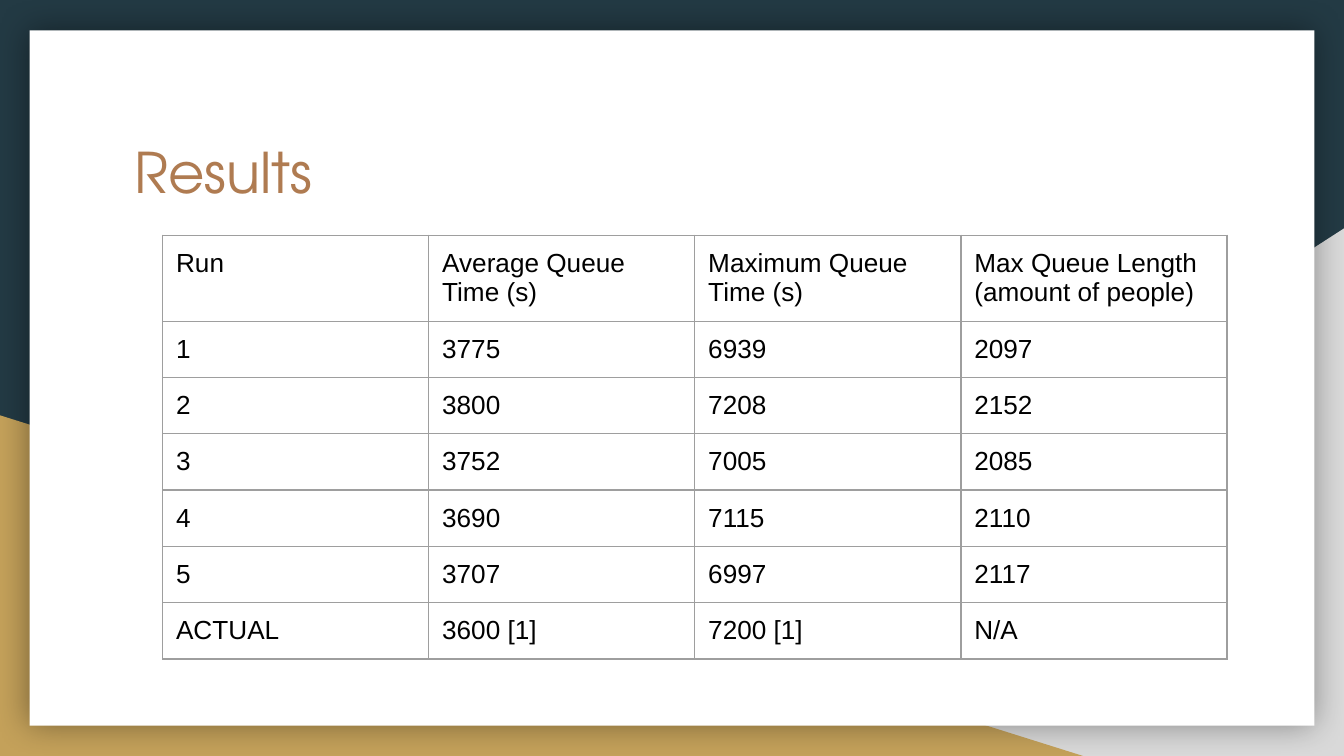
import pptx
import pptx.util
import pptx.dml.color
import pptx.enum.shapes
import pptx.enum.text
import pptx.oxml
import pptx.oxml.ns

RGBColor = pptx.dml.color.RGBColor
SHAPE = pptx.enum.shapes.MSO_SHAPE

NAVY = RGBColor(0x23, 0x3A, 0x44)
SILVER = RGBColor(0xD9, 0xD9, 0xD9)
GOLD = RGBColor(0xC4, 0xA1, 0x5A)
WHITE = RGBColor(0xFF, 0xFF, 0xFF)
BLACK = RGBColor(0, 0, 0)
COPPER = RGBColor(0xAF, 0x7B, 0x51)
GREY = RGBColor(0x9E, 0x9E, 0x9E)

HEADINGS = ["Run", "Average Queue Time (s)", "Maximum Queue Time (s)",
            "Max Queue Length (amount of people)"]
RESULTS = [
    ["1", "3775", "6939", "2097"],
    ["2", "3800", "7208", "2152"],
    ["3", "3752", "7005", "2085"],
    ["4", "3690", "7115", "2110"],
    ["5", "3707", "6997", "2117"],
    ["ACTUAL", "3600 [1]", "7200 [1]", "N/A"],
]


def parse_drawing(xml):
    """Turn a DrawingML snippet, written without its namespace, into an element."""
    namespace = pptx.oxml.ns.nsdecls("a")
    return pptx.oxml.parse_xml(xml.replace(">", f" {namespace}>", 1))


def write_text(frame, text, font, size, color, inset):
    frame.word_wrap = True
    frame.vertical_anchor = pptx.enum.text.MSO_ANCHOR.TOP
    frame.margin_left = frame.margin_right = inset
    frame.margin_top = frame.margin_bottom = inset
    para = frame.paragraphs[0]
    para.alignment = pptx.enum.text.PP_ALIGN.LEFT
    span = para.add_run()
    span.text = text
    span.font.name = font
    span.font.size = pptx.util.Pt(size)
    span.font.color.rgb = color


class SlideBuilder:
    """Places elements on a grid of 100 columns with square cells."""

    heading_font = "TeX Gyre Adventor"
    body_font = "Arial"

    def __init__(self, deck):
        self.unit = deck.slide_width / 100
        self.inset = self.grid(1)
        self.page = deck.slides.add_slide(deck.slide_layouts[5])
        fill = self.page.background.fill
        fill.solid()
        fill.fore_color.rgb = NAVY

    def grid(self, cells):
        return round(cells * self.unit)

    def panel(self, kind, place, color, mirrored=False, glow=False):
        box = self.page.shapes.add_shape(kind, *map(self.grid, place))
        box.shadow.inherit = False
        box.fill.solid()
        box.fill.fore_color.rgb = color
        box.line.fill.background()
        properties = box.element.spPr
        if mirrored:
            properties.xfrm.set("flipH", "1")
        if glow:
            effects = properties.find(pptx.oxml.ns.qn("a:effectLst"))
            effects.append(parse_drawing(
                f'<a:outerShdw blurRad="{pptx.util.Pt(18)}" dist="0" dir="0" '
                'algn="ctr" rotWithShape="0"><a:srgbClr val="000000">'
                '<a:alpha val="40000"/></a:srgbClr></a:outerShdw>'))

    def title(self, text, place):
        box = self.page.shapes.title
        box.left, box.top, box.width, box.height = map(self.grid, place)
        write_text(box.text_frame, text, self.heading_font, 30, COPPER, self.inset)
        # The placeholder comes first in the tree; bring it above the panels.
        box.element.getparent().append(box.element)

    def table(self, rows, left, top, column_width, row_heights):
        width = self.grid(column_width * len(rows[0]))
        height = self.grid(sum(row_heights))
        table = self.page.shapes.add_table(
            len(rows), len(rows[0]), self.grid(left), self.grid(top),
            width, height).table
        table.first_row = table.horz_banding = False
        for column in table.columns:
            column.width = self.grid(column_width)
        for row, row_height, texts in zip(table.rows, row_heights, rows):
            row.height = self.grid(row_height)
            for cell, text in zip(row.cells, texts):
                write_text(cell.text_frame, text, self.body_font, 14, BLACK, 0)
                cell.margin_left = cell.margin_right = self.inset
                cell.margin_top = cell.margin_bottom = self.inset
                cell.fill.background()
                self.outline(cell)

    def outline(self, cell):
        properties = cell._tc.get_or_add_tcPr()
        for position, side in enumerate(("lnL", "lnR", "lnT", "lnB")):
            properties.insert(position, parse_drawing(
                f'<a:{side} w="{pptx.util.Pt(0.75)}"><a:solidFill>'
                f'<a:srgbClr val="{GREY}"/></a:solidFill></a:{side}>'))


def main():
    deck = pptx.Presentation()
    deck.slide_width = pptx.util.Inches(10)
    deck.slide_height = pptx.util.Inches(5.625)

    slide = SlideBuilder(deck)
    slide.panel(SHAPE.RIGHT_TRIANGLE, (39.2, 17, 60.8, 39.25), SILVER, mirrored=True)
    slide.panel(SHAPE.RIGHT_TRIANGLE, (0, 30.9, 80.6, 25.35), GOLD)
    slide.panel(SHAPE.RECTANGLE, (2.2, 2.25, 95.6, 51.75), WHITE, glow=True)
    slide.title("Results", (9, 9.2, 82.1, 10.4))
    slide.table([HEADINGS] + RESULTS, left=12.1, top=17.5, column_width=19.8,
                row_heights=[6.4] + [4.18] * len(RESULTS))

    deck.save("out.pptx")


if __name__ == "__main__":
    main()
